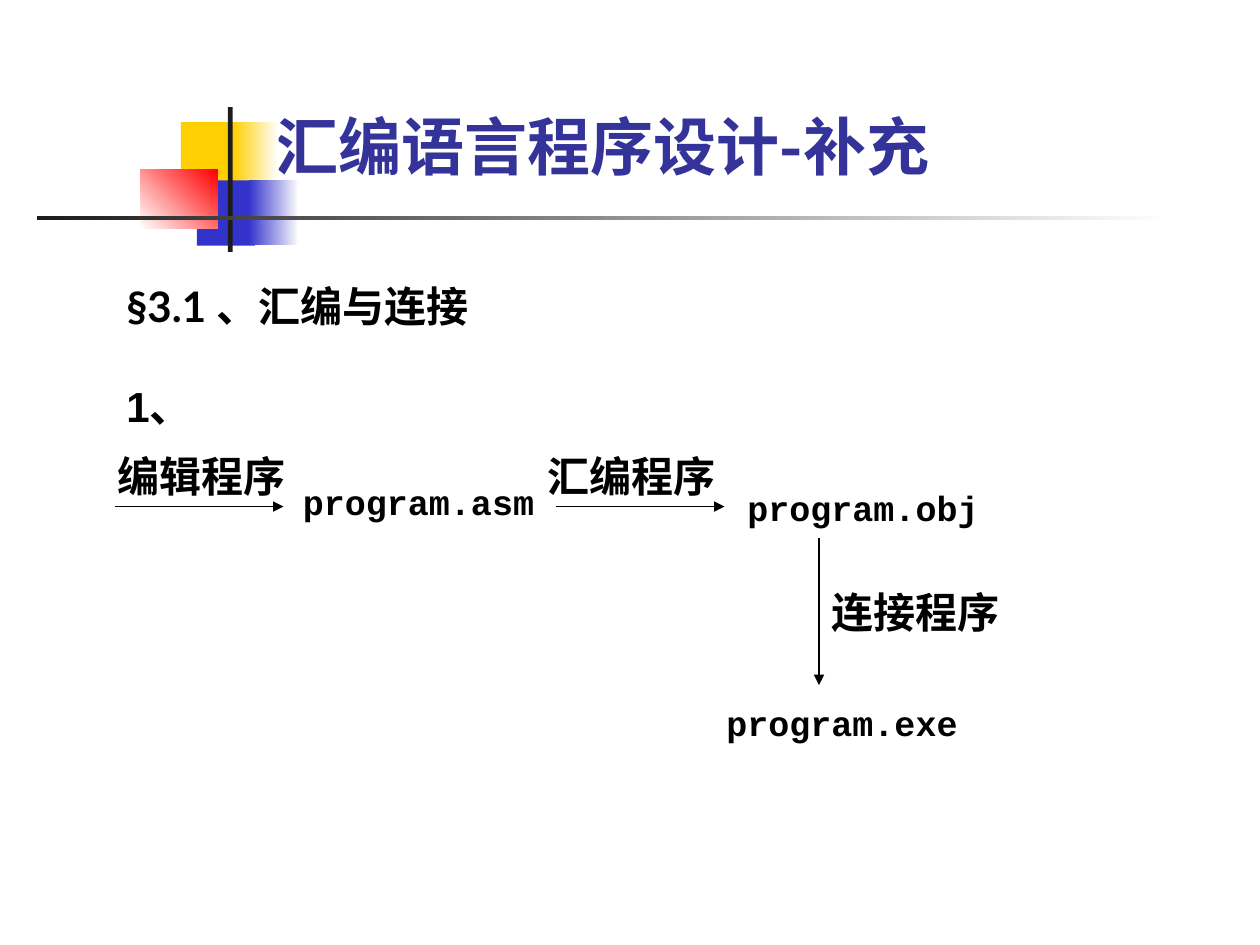
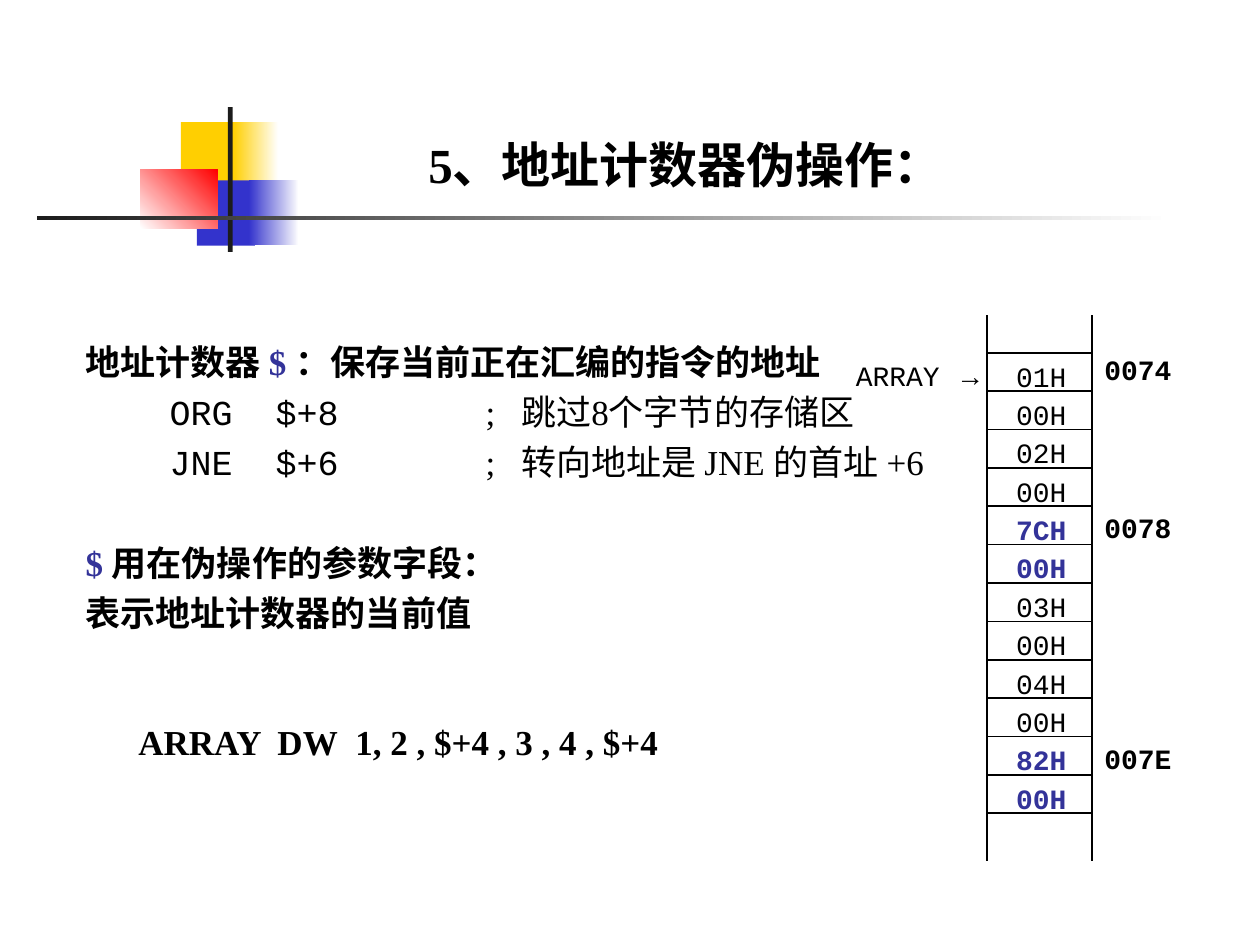
from pptx import Presentation
from pptx.dml.color import RGBColor
from pptx.enum.shapes import MSO_CONNECTOR, MSO_SHAPE
from pptx.enum.text import MSO_ANCHOR, MSO_AUTO_SIZE, PP_ALIGN
from pptx.oxml.xmlchemy import OxmlElement
from pptx.util import Pt

RECTANGLE = MSO_SHAPE.RECTANGLE
STRAIGHT = MSO_CONNECTOR.STRAIGHT
TOP, BOTTOM = MSO_ANCHOR.TOP, MSO_ANCHOR.BOTTOM
LEFT, CENTER = PP_ALIGN.LEFT, PP_ALIGN.CENTER
NO_AUTOFIT = MSO_AUTO_SIZE.NONE

BLACK = RGBColor(0x00, 0x00, 0x00)
WHITE = RGBColor(0xFF, 0xFF, 0xFF)
CHARCOAL = RGBColor(0x1C, 0x1C, 0x1C)
YELLOW = RGBColor(0xFF, 0xCF, 0x01)
BLUE = RGBColor(0x33, 0x33, 0xCC)
RED = RGBColor(0xFF, 0x00, 0x00)
INDIGO = RGBColor(0x33, 0x33, 0x99)

SERIF = "Times New Roman"
MONO = "Courier New"
SANS = "Arial"
LATO = "Lato"
CHINESE = "Noto Sans CJK SC"

MOTIF = [
    (103.3, 69.8, 34.6, 37.4, (YELLOW,), 0),
    (133.2, 69.8, 25.9, 37.4, (YELLOW, WHITE), 0),
    (112.6, 103, 33.1, 37.4, (BLUE,), 0),
    (142.1, 103, 28.8, 37, (BLUE, WHITE), 0),
    (80.2, 97, 44.2, 33.4, (WHITE, RED), 45),
    (130.3, 61.2, 2.6, 82.8, (CHARCOAL,), 0),
    (21.2, 123.4, 648, 2.3, (CHARCOAL, WHITE), 0),
]

MEMORY_BYTES = ["01H", "00H", "02H", "00H", "7CH", "00H",
                "03H", "00H", "04H", "00H", "82H", "00H"]
COUNTER_BYTES = {4, 5, 10, 11}
MEMORY_LEFT, MEMORY_TOP = 564, 201.6
CELL_WIDTH, CELL_HEIGHT = 60, 21.93


def write_text(frame, paragraphs, size=20, font=SERIF, color=BLACK, bold=False,
               align=LEFT, leading=1.25, gaps=(), tabs=(), flush=False):
    for index, runs in enumerate(paragraphs):
        paragraph = frame.paragraphs[0] if index == 0 else frame.add_paragraph()
        properties = paragraph._p.get_or_add_pPr()
        if flush:
            properties.set("marL", "0")
            properties.set("indent", "0")
            properties.append(OxmlElement("a:buNone"))
        if tabs:
            tab_list = OxmlElement("a:tabLst")
            for position in tabs:
                tab = OxmlElement("a:tab")
                tab.set("pos", str(Pt(position)))
                tab.set("algn", "l")
                tab_list.append(tab)
            properties.append(tab_list)
        paragraph.alignment = align
        paragraph.line_spacing = Pt(size * leading)
        paragraph.space_before = Pt(size * leading if index in gaps else 0)
        paragraph.space_after = Pt(0)
        for text, changes in [(runs, {})] if isinstance(runs, str) else runs:
            run = paragraph.add_run()
            run.text = text
            run.font.size = Pt(size)
            run.font.bold = changes.get("bold", bold)
            run.font.color.rgb = changes.get("color", color)
            run.font.name = changes.get("font", font)
            east_asian = OxmlElement("a:ea")
            east_asian.set("typeface", CHINESE)
            run._r.get_or_add_rPr().append(east_asian)


class Deck:
    def __init__(self):
        self.presentation = Presentation()
        self.presentation.slide_width = Pt(720)
        self.presentation.slide_height = Pt(540)
        self.slide = None

    def new_slide(self, layout_index):
        layout = self.presentation.slide_layouts[layout_index]
        self.slide = self.presentation.slides.add_slide(layout)
        for left, top, width, height, colors, angle in MOTIF:
            self.block(left, top, width, height, colors, angle)

    def block(self, left, top, width, height, colors=(), angle=0):
        shape = self.slide.shapes.add_shape(
            RECTANGLE, Pt(left), Pt(top), Pt(width), Pt(height))
        shape.shadow.inherit = False
        shape.line.fill.background()
        if len(colors) == 2:
            shape.fill.gradient()
            shape.fill.gradient_angle = angle
            for stop, color in zip(shape.fill.gradient_stops, colors):
                stop.color.rgb = color
        elif colors:
            shape.fill.solid()
            shape.fill.fore_color.rgb = colors[0]
        else:
            shape.fill.background()
        return shape

    def prepare_frame(self, shape, anchor=TOP, left=7.2, top=3.6, bottom=3.6):
        frame = shape.text_frame
        frame.word_wrap = True
        frame.auto_size = NO_AUTOFIT
        frame.vertical_anchor = anchor
        frame.margin_left, frame.margin_right = Pt(left), Pt(7.2)
        frame.margin_top, frame.margin_bottom = Pt(top), Pt(bottom)
        return frame

    def place(self, shape, left, top, width, height):
        shape.left, shape.top = Pt(left), Pt(top)
        shape.width, shape.height = Pt(width), Pt(height)

    def title(self, text, left, top, width, height, **style):
        shape = self.slide.shapes.title
        self.place(shape, left, top, width, height)
        frame = self.prepare_frame(shape, BOTTOM, bottom=0)
        write_text(frame, [text], bold=True, flush=True, **style)

    def body(self, paragraphs, left, top, width, height, **style):
        shape = self.slide.placeholders[1]
        self.place(shape, left, top, width, height)
        write_text(self.prepare_frame(shape), paragraphs, flush=True, **style)

    def label(self, paragraphs, left, top, width, height, **style):
        shape = self.slide.shapes.add_textbox(
            Pt(left), Pt(top), Pt(width), Pt(height))
        write_text(self.prepare_frame(shape), paragraphs, **style)

    def cell(self, text, left, top, **style):
        shape = self.block(left, top, CELL_WIDTH, CELL_HEIGHT)
        shape.line.color.rgb = BLACK
        shape.line.width = Pt(1)
        frame = self.prepare_frame(shape, left=9.2, top=2.8, bottom=0)
        write_text(frame, [text], size=16, font=MONO, align=CENTER, **style)

    def line(self, start_x, start_y, end_x, end_y, width=1, arrow=False):
        connector = self.slide.shapes.add_connector(
            STRAIGHT, Pt(start_x), Pt(start_y), Pt(end_x), Pt(end_y))
        connector.line.color.rgb = BLACK
        connector.line.width = Pt(width)
        if arrow:
            head = OxmlElement("a:tailEnd")
            head.set("type", "triangle")
            connector.line._get_or_add_ln().append(head)
        connector._element.spPr.append(OxmlElement("a:effectLst"))


def build_assembly_flow(deck):
    deck.new_slide(1)
    deck.title("汇编语言程序设计-补充", 150.5, 50.5, 538.6, 54,
               size=36, font=CHINESE, color=INDIGO)
    deck.body([[("§3.1 ", {}), ("、汇编与连接", {"font": SANS})],
               [("1、", {"font": SANS})]],
              65, 156.5, 355, 94, size=24, font=LATO, bold=True,
              leading=1.2, gaps=(1,))
    for step, left, top in [("编辑程序", 60, 252.7), ("汇编程序", 306, 252.7),
                            ("连接程序", 468, 330.3)]:
        deck.label([step], left, top, 114, 36, size=24, bold=True)
    for file_name, left, top in [("program.asm", 166, 270.1),
                                 ("program.obj", 420, 273.7),
                                 ("program.exe", 408, 396.3)]:
        deck.label([file_name], left, top, 160, 32, font=MONO, bold=True)
    for arrow in [(66, 289.5, 162, 289.5), (318, 289.5, 414, 289.5),
                  (468, 307.5, 468, 391.5)]:
        deck.line(*arrow, width=0.75, arrow=True)


def build_location_counter(deck):
    deck.new_slide(5)
    deck.title("5、地址计数器伪操作：", 237.6, 69.6, 314.6, 41, size=28)

    counter = {"color": INDIGO, "bold": True}
    strong = {"bold": True}
    code = {"font": MONO}
    deck.label([
        [("地址计数器 ", strong), ("$ ", counter),
         ("：保存当前正在汇编的指令的地址", strong)],
        [("    ORG\t$+8\t", code), (";\t跳过8个字节的存储区", {})],
        [("    JNE\t$+6\t", code), (";\t转向地址是 JNE 的首址 +6", {})],
        [("$ ", counter), ("用在伪操作的参数字段：", strong)],
        [("表示地址计数器的当前值", strong)],
    ], 41.8, 186.3, 520, 190, leading=1.435, gaps=(3,),
        tabs=(108.6, 228.6, 249))
    deck.label(["ARRAY\tDW\t1, 2 , $+4 , 3 , 4 , $+4"], 72, 407.2, 330, 32,
               bold=True, tabs=(79.5, 124))

    for index, value in enumerate(MEMORY_BYTES):
        marked = index in COUNTER_BYTES
        deck.cell(value, MEMORY_LEFT, MEMORY_TOP + index * CELL_HEIGHT,
                  bold=marked, color=INDIGO if marked else BLACK)
    memory_bottom = MEMORY_TOP + len(MEMORY_BYTES) * CELL_HEIGHT
    for x in (MEMORY_LEFT, MEMORY_LEFT + CELL_WIDTH):
        deck.line(x, 180, x, MEMORY_TOP)
        deck.line(x, memory_bottom, x, 492)

    deck.label([[("ARRAY ", {}), ("→", {"font": SANS})]],
               482, 200.6, 93, 26.5, size=16, font=MONO)
    for address, top in [("0074", 196.8), ("0078", 287.3), ("007E", 419.3)]:
        deck.label([address], MEMORY_LEFT + CELL_WIDTH, top, 66, 26.5,
                   size=16, font=MONO, bold=True)


def main():
    deck = Deck()
    build_assembly_flow(deck)
    build_location_counter(deck)
    deck.presentation.save("out.pptx")


if __name__ == "__main__":
    main()
